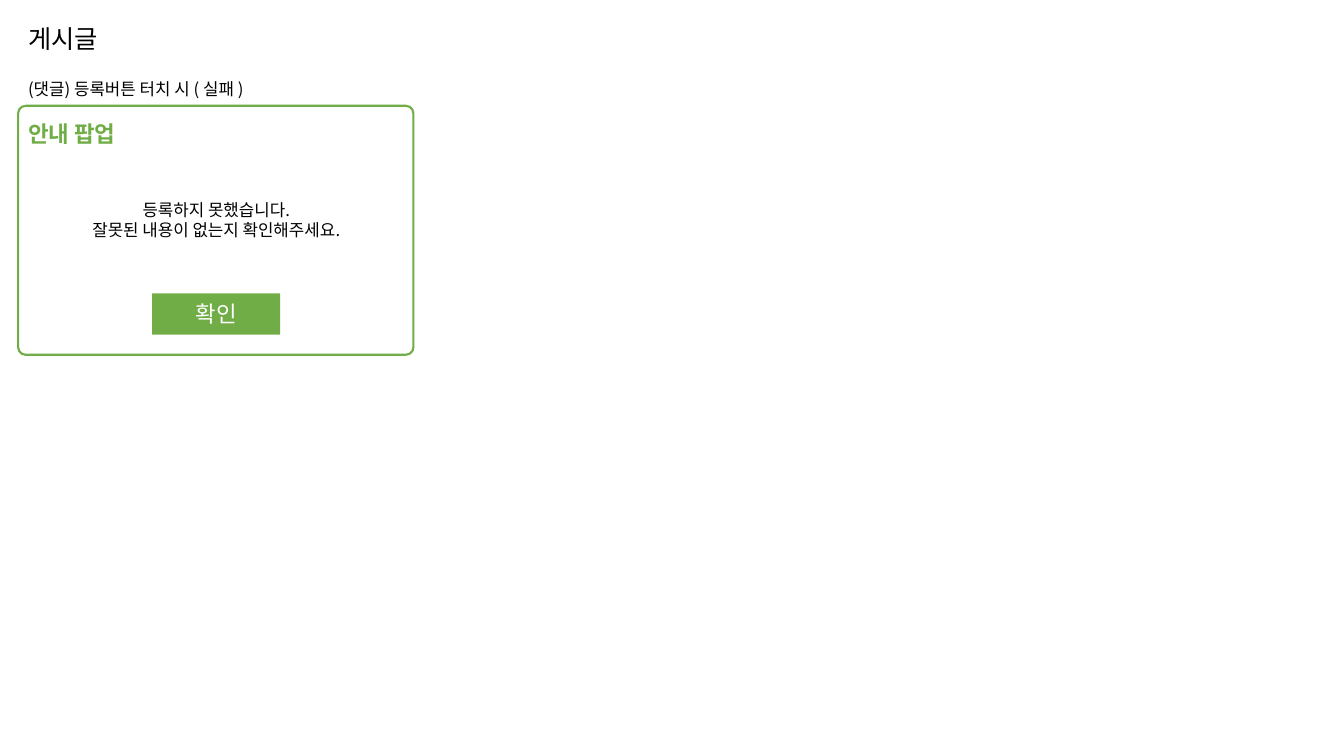
from lxml.etree import SubElement
from pptx import Presentation
from pptx.dml.color import RGBColor
from pptx.enum.shapes import MSO_SHAPE
from pptx.enum.text import MSO_ANCHOR, MSO_AUTO_SIZE, PP_ALIGN
from pptx.oxml.ns import qn
from pptx.util import Pt

PX = 9144
FONT = "Noto Sans CJK KR"
BLACK = RGBColor(0x00, 0x00, 0x00)
WHITE = RGBColor(0xFF, 0xFF, 0xFF)
GREEN = RGBColor(0x70, 0xAD, 0x47)


def write(frame, lines, size, color, align=PP_ALIGN.LEFT, bold=False):
    frame.word_wrap = True
    for index, line in enumerate(lines):
        paragraph = frame.add_paragraph() if index else frame.paragraphs[0]
        paragraph.alignment = align
        run = paragraph.add_run()
        run.text = line
        run.font.name = FONT
        run.font.size = Pt(size)
        run.font.bold = bold
        run.font.color.rgb = color
        SubElement(run.font._element, qn("a:ea")).set("typeface", FONT)


def add_box(preset, left, top, width, height, fill):
    box = slide.shapes.add_shape(preset, left * PX, top * PX, width * PX, height * PX)
    box.shadow.inherit = False
    box.fill.solid()
    box.fill.fore_color.rgb = fill
    return box


deck = Presentation()
deck.slide_width = 1333 * PX
deck.slide_height = 750 * PX
slide = deck.slides.add_slide(deck.slide_layouts[6])

popup = add_box(MSO_SHAPE.ROUNDED_RECTANGLE, 18, 105, 392, 247, WHITE)
popup.adjustments[0] = 0.03
popup.line.color.rgb = GREEN
popup.line.width = Pt(1.5)

texts = [
    (18, 18, 279, 40, ["게시글"], 18, BLACK, PP_ALIGN.LEFT, False),
    (18, 73, 279, 30, ["(댓글) 등록버튼 터치 시 ( 실패 )"], 12, BLACK, PP_ALIGN.LEFT, False),
    (18, 114, 279, 37, ["안내 팝업"], 16, GREEN, PP_ALIGN.LEFT, True),
    (32, 193, 365, 50, ["등록하지 못했습니다.", "잘못된 내용이 없는지 확인해주세요."],
     12, BLACK, PP_ALIGN.CENTER, False),
]
for left, top, width, height, lines, size, color, align, bold in texts:
    label = slide.shapes.add_textbox(left * PX, top * PX, width * PX, height * PX)
    label.text_frame.auto_size = MSO_AUTO_SIZE.SHAPE_TO_FIT_TEXT
    write(label.text_frame, lines, size, color, align, bold)

confirm = add_box(MSO_SHAPE.RECTANGLE, 151, 291, 127, 41, GREEN)
confirm.line.fill.background()
confirm.text_frame.vertical_anchor = MSO_ANCHOR.MIDDLE
write(confirm.text_frame, ["확인"], 16, WHITE, PP_ALIGN.CENTER)

deck.save("out.pptx")
